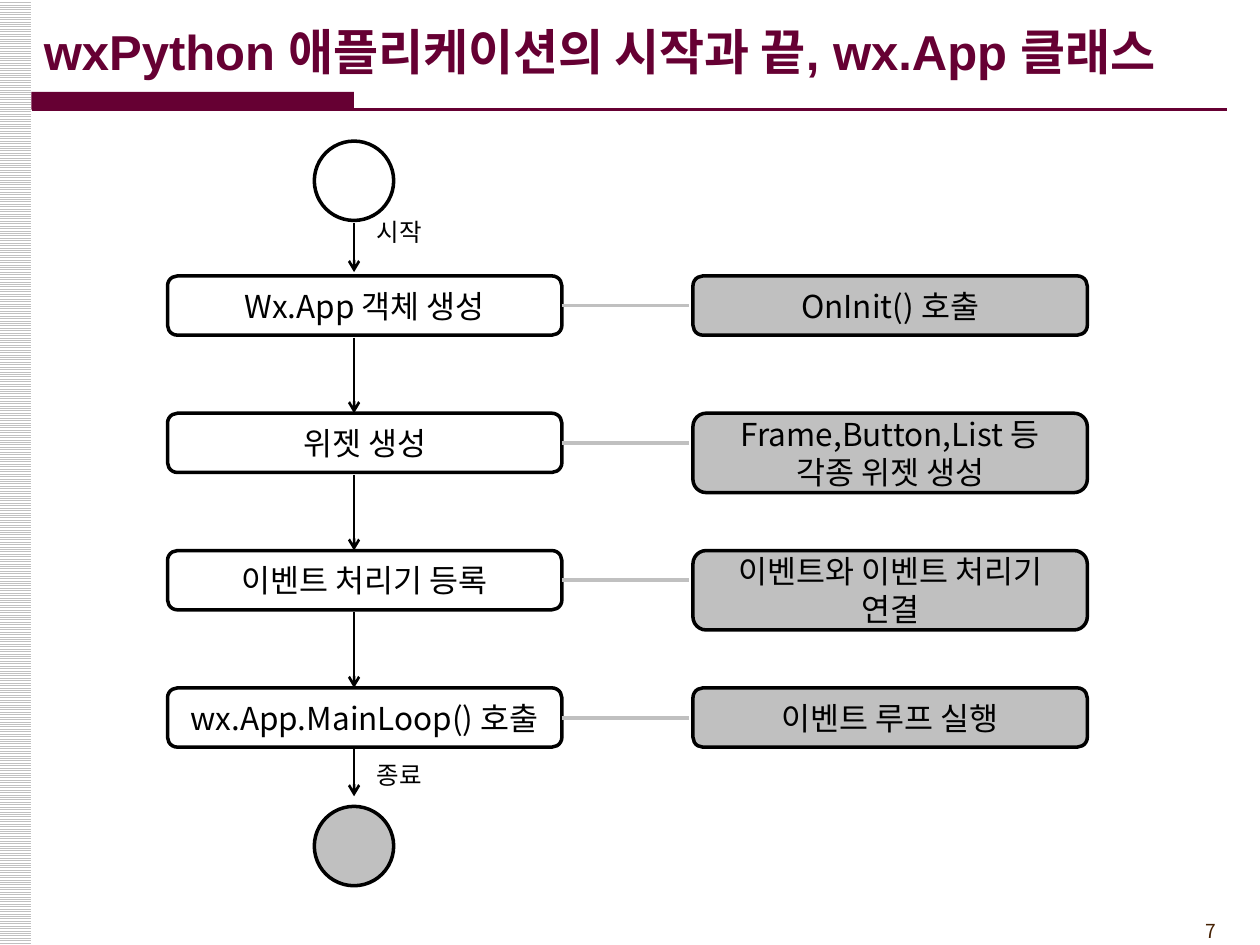
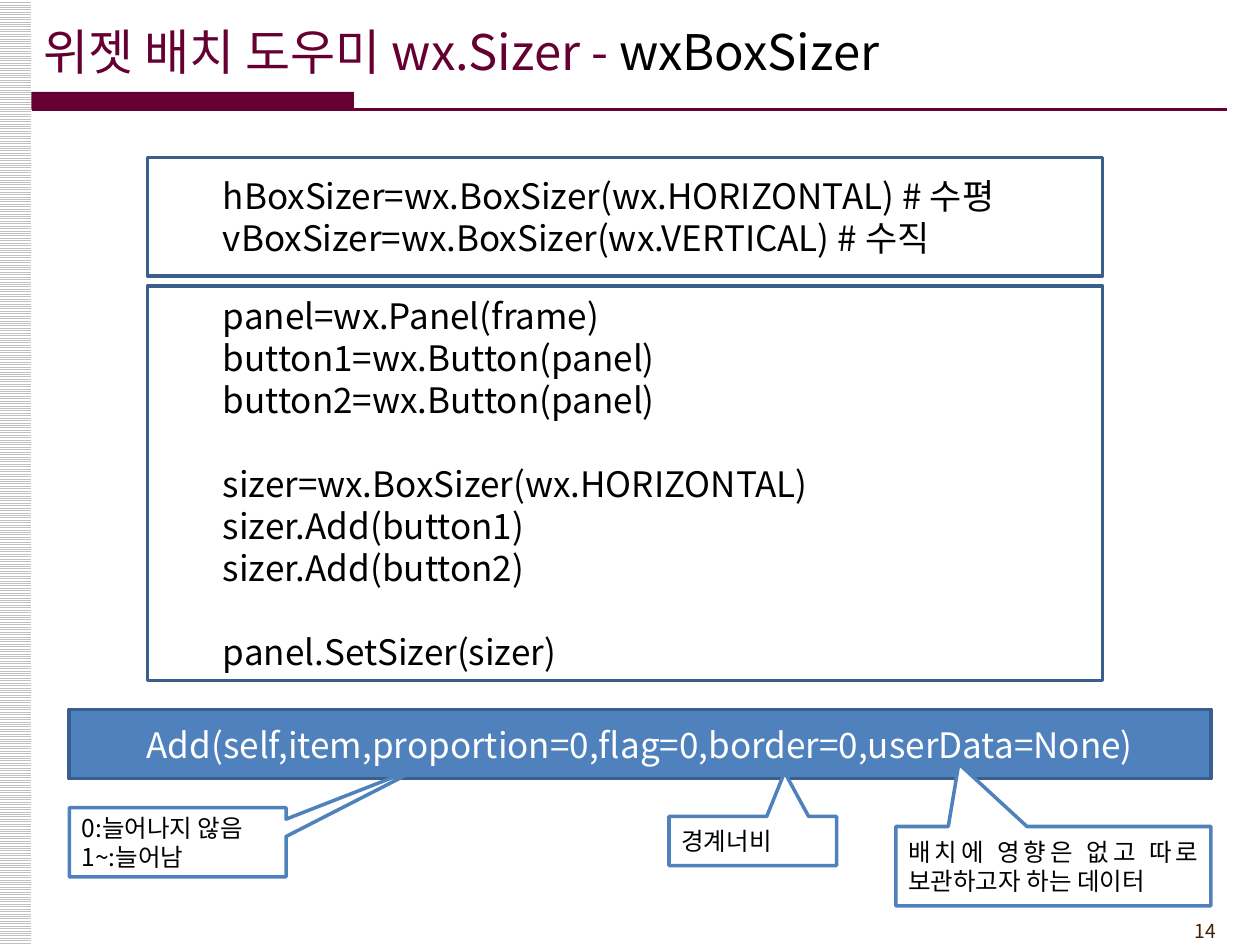
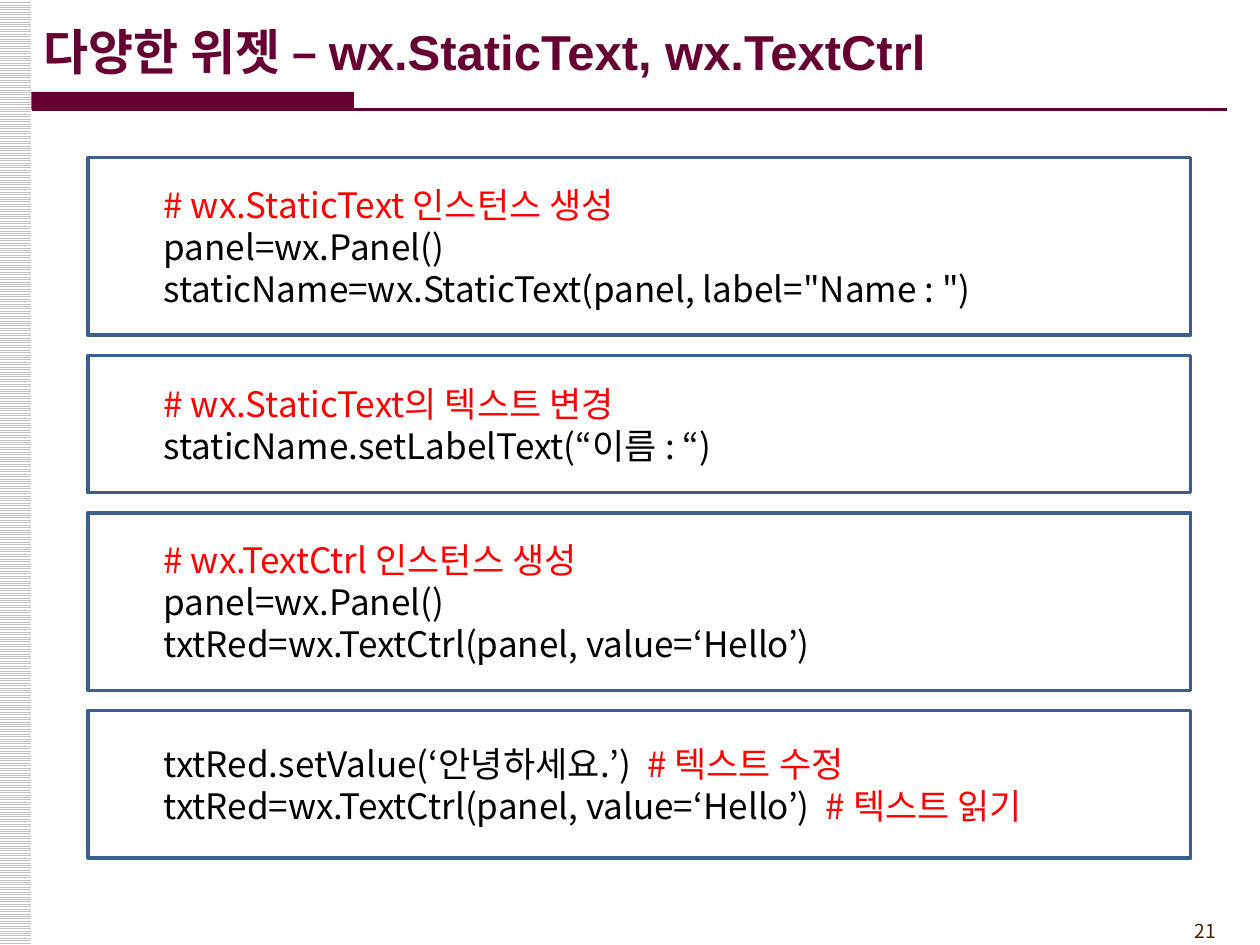
from lxml.etree import SubElement
from pptx import Presentation
from pptx.dml.color import RGBColor
from pptx.enum.dml import MSO_PATTERN
from pptx.enum.shapes import MSO_CONNECTOR, MSO_SHAPE
from pptx.enum.text import MSO_ANCHOR, PP_ALIGN
from pptx.oxml.ns import qn
from pptx.util import Inches, Pt

COLORS = {
    "wine": "660033", "black": "000000", "white": "FFFFFF", "silver": "C0C0C0",
    "brown": "452103", "navy": "3A5F8C", "blue": "4F81BD", "red": "FF0000",
}
SANS = "Noto Sans CJK KR"
LINE_RATIO = 1.2
CODE_SIZE = 20


def color(name):
    """Return the named colour."""
    return RGBColor.from_string(COLORS[name])


def write(frame, lines, size, align=PP_ALIGN.LEFT, font=SANS, bold=False,
          indent=0, gaps_before=()):
    """Fill a frame with lines, each a list of (text, colour) pairs."""
    for index, pieces in enumerate(lines):
        paragraph = frame.paragraphs[0] if index == 0 else frame.add_paragraph()
        paragraph.alignment = align
        paragraph.line_spacing = Pt(size * LINE_RATIO)
        if indent:
            properties = paragraph._p.get_or_add_pPr()
            properties.set("marL", str(Inches(indent)))
            properties.set("indent", "0")
        if index in gaps_before:
            paragraph.space_before = Pt(size * LINE_RATIO)
        for text, tint in pieces:
            run = paragraph.add_run()
            run.text = text
            run.font.size = Pt(size)
            run.font.name = font
            run.font.bold = bold
            run.font.color.rgb = color(tint)
            SubElement(run._r.get_or_add_rPr(), qn("a:ea")).set("typeface", SANS)


def add_outline(slide, kind, box, fill=None, line=None, width=2):
    """Add a preset shape with a plain fill and line."""
    shape = slide.shapes.add_shape(kind, *map(Inches, box))
    shape.shadow.inherit = False
    if fill:
        shape.fill.solid()
        shape.fill.fore_color.rgb = color(fill)
    else:
        shape.fill.background()
    if line:
        shape.line.color.rgb = color(line)
        shape.line.width = Pt(width)
    else:
        shape.line.fill.background()
    shape.text_frame.word_wrap = True
    shape.text_frame.vertical_anchor = MSO_ANCHOR.MIDDLE
    return shape


def add_line(slide, start, end, tint, width, arrow=False):
    """Connect two points, with an arrowhead at the end if asked."""
    connector = slide.shapes.add_connector(
        MSO_CONNECTOR.STRAIGHT, *map(Inches, (*start, *end)))
    connector.line.color.rgb = color(tint)
    connector.line.width = Pt(width)
    if arrow:
        SubElement(connector.line._get_or_add_ln(), qn("a:tailEnd")).set("type", "arrow")
    SubElement(connector._element.spPr, qn("a:effectLst"))


def add_label(slide, box, lines, size, wrap=True, anchor=MSO_ANCHOR.TOP, **style):
    """Add free-standing text."""
    frame = slide.shapes.add_textbox(*map(Inches, box)).text_frame
    frame.word_wrap = wrap
    frame.vertical_anchor = anchor
    write(frame, lines, size, **style)


def add_frame(deck, title, number, font="Arial", bold=True):
    """Start a slide with the side stripes, title, rule and page number."""
    slide = deck.slides.add_slide(deck.slide_layouts[6])
    stripes = add_outline(slide, MSO_SHAPE.RECTANGLE, (-0.01, 0, 0.26, 7.5))
    stripes.fill.patterned()
    stripes.fill.pattern = MSO_PATTERN.LIGHT_HORIZONTAL
    stripes.fill.fore_color.rgb = color("silver")
    stripes.fill.back_color.rgb = color("white")
    add_label(slide, (8.92, 7.25, 0.83, 0.29), [[(str(number), "brown")]], 11,
              align=PP_ALIGN.RIGHT)
    add_outline(slide, MSO_SHAPE.RECTANGLE, (0.25, 0.73, 2.56, 0.14), fill="wine")
    add_line(slide, (0.25, 0.87), (9.74, 0.87), "wine", 1.5)
    add_label(slide, (0.25, 0.09, 9.75, 0.63), [title], 28,
              anchor=MSO_ANCHOR.MIDDLE, font=font, bold=bold)
    return slide


def add_code(slide, box, lines, gaps_before=()):
    """Add a bordered box of indented code."""
    code = add_outline(slide, MSO_SHAPE.RECTANGLE, box, line="navy")
    write(code.text_frame, lines, CODE_SIZE, indent=0.5, gaps_before=gaps_before)


def add_callout(slide, box, tip, texts):
    """Add a note whose wedge points at the tip, given in shares of the box."""
    note = add_outline(slide, MSO_SHAPE.RECTANGULAR_CALLOUT, box, "white", "blue")
    note.adjustments[0], note.adjustments[1] = tip
    write(note.text_frame, [[(text, "black")] for text in texts], 14, PP_ALIGN.JUSTIFY)


def add_flow(slide, box, steps):
    """Draw the life cycle from start to end, each step with its detail."""
    left, top, width, _ = box
    step_width, step_height, pitch, circle = 3.13, 0.47, 1.09, 0.63
    axis = left + 1.48
    first, detail_left = top + 1.07, left + width - step_width
    last_bottom = first + pitch * (len(steps) - 1) + step_height
    end_top = last_bottom + 0.47

    for circle_top, fill in ((top, None), (end_top, "silver")):
        add_outline(slide, MSO_SHAPE.OVAL,
                    (axis - circle / 2, circle_top, circle, circle), fill, "black")
    for index, (step, detail, detail_height) in enumerate(steps):
        step_top = first + pitch * index
        middle = step_top + step_height / 2
        for box_left, height, text, fill in (
                (left, step_height, step, None),
                (detail_left, detail_height, detail, "silver")):
            stage = add_outline(slide, MSO_SHAPE.ROUNDED_RECTANGLE,
                                (box_left, step_top, step_width, height), fill, "black")
            write(stage.text_frame, [[(text, "black")]], 18, PP_ALIGN.CENTER)
        add_line(slide, (left + step_width, middle), (detail_left - 0.03, middle),
                 "silver", 2.25)
        if index:
            add_line(slide, (axis, step_top - pitch + step_height + 0.02),
                     (axis, step_top), "black", 1.5, arrow=True)
    for arrow_top, label_top, text in (
            (top + 0.65, top + 0.55, "시작"), (last_bottom, last_bottom + 0.05, "종료")):
        add_line(slide, (axis, arrow_top), (axis, arrow_top + 0.39), "black", 1.5, arrow=True)
        add_label(slide, (axis + 0.08, label_top, 0.59, 0.34), [[(text, "black")]], 14,
                  wrap=False, font="Arial")


def build_app_slide(deck):
    """Build the slide on the application life cycle."""
    slide = add_frame(deck, [("wxPython 애플리케이션의 시작과 끝, wx.App 클래스", "wine")], 7)
    add_flow(slide, (1.33, 1.12, 7.3, 5.92), [
        ("Wx.App 객체 생성", "OnInit() 호출", 0.47),
        ("위젯 생성", "Frame,Button,List 등 각종 위젯 생성", 0.63),
        ("이벤트 처리기 등록", "이벤트와 이벤트 처리기 연결", 0.63),
        ("wx.App.MainLoop() 호출", "이벤트 루프 실행", 0.47),
    ])


def build_sizer_slide(deck):
    """Build the slide on box sizers."""
    title = [("위젯 배치 도우미 wx.Sizer - ", "wine"), ("wxBoxSizer", "black")]
    slide = add_frame(deck, title, 14, font=SANS, bold=False)
    setup = ["panel=wx.Panel(frame)", "button1=wx.Button(panel)", "button2=wx.Button(panel)",
             "sizer=wx.BoxSizer(wx.HORIZONTAL)", "sizer.Add(button1)", "sizer.Add(button2)",
             "panel.SetSizer(sizer)"]
    directions = ["hBoxSizer=wx.BoxSizer(wx.HORIZONTAL) # 수평",
                  "vBoxSizer=wx.BoxSizer(wx.VERTICAL) # 수직"]
    add_code(slide, (1.17, 2.27, 7.58, 3.13), [[(line, "black")] for line in setup], (3, 6))
    add_code(slide, (1.17, 1.25, 7.58, 0.94), [[(line, "black")] for line in directions])
    signature = add_outline(slide, MSO_SHAPE.RECTANGLE, (0.55, 5.63, 9.06, 0.55),
                            "blue", "navy")
    write(signature.text_frame,
          [[("Add(self,item,proportion=0,flag=0,border=0,userData=None)", "white")]],
          CODE_SIZE, PP_ALIGN.CENTER)
    add_callout(slide, (0.55, 6.41, 1.72, 0.55), (1.16, -1.14),
                ["0:늘어나지 않음", "1~:늘어남"])
    add_callout(slide, (5.31, 6.48, 1.33, 0.39), (0.19, -1.4), ["경계너비"])
    add_callout(slide, (7.11, 6.56, 2.5, 0.63), (-0.3, -1.29),
                ["배치에 영향은 없고 따로 보관하고자 하는 데이터"])


def build_text_slide(deck):
    """Build the slide on text widgets."""
    slide = add_frame(deck, [("다양한 위젯 – wx.StaticText, wx.TextCtrl", "wine")], 21)
    examples = [
        (1.41, [[("# wx.StaticText 인스턴스 생성", "red")],
                [("panel=wx.Panel()", "black")],
                [('staticName=wx.StaticText(panel, label="Name : ")', "black")]]),
        (1.09, [[("# wx.StaticText의 텍스트 변경", "red")],
                [("staticName.setLabelText(“이름 : “)", "black")]]),
        (1.41, [[("# wx.TextCtrl 인스턴스 생성", "red")],
                [("panel=wx.Panel()", "black")],
                [("txtRed=wx.TextCtrl(panel, value=‘Hello’)", "black")]]),
        (1.17, [[("txtRed.setValue(‘안녕하세요.’)  ", "black"), ("# 텍스트 수정", "red")],
                [("txtRed=wx.TextCtrl(panel, value=‘Hello’)  ", "black"),
                 ("# 텍스트 읽기", "red")]]),
    ]
    top = 1.25
    for height, lines in examples:
        add_code(slide, (0.7, top, 8.75, height), lines)
        top += height + 0.16


def main():
    """Build and save the deck."""
    deck = Presentation()
    deck.slide_width, deck.slide_height = Inches(10), Inches(7.5)
    build_app_slide(deck)
    build_sizer_slide(deck)
    build_text_slide(deck)
    deck.save("out.pptx")


if __name__ == "__main__":
    main()
